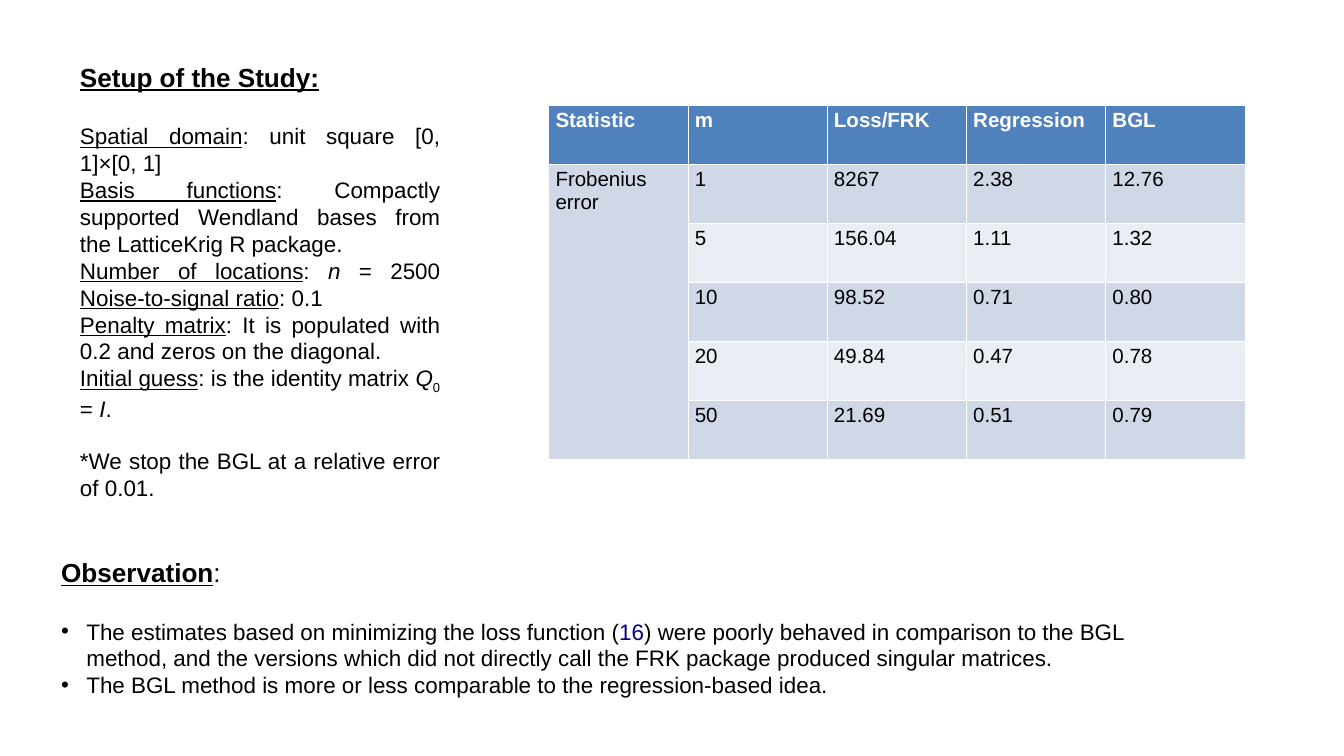
from typing import NamedTuple, Optional

from lxml import etree
from pptx import Presentation
from pptx.dml.color import RGBColor
from pptx.enum.text import MSO_AUTO_SIZE, MSO_VERTICAL_ANCHOR, PP_ALIGN
from pptx.oxml.ns import qn
from pptx.util import Pt

LEFT, JUSTIFY = PP_ALIGN.LEFT, PP_ALIGN.JUSTIFY
TOP = MSO_VERTICAL_ANCHOR.TOP
NO_AUTOFIT = MSO_AUTO_SIZE.NONE

BLACK = RGBColor(0x00, 0x00, 0x00)
WHITE = RGBColor(0xFF, 0xFF, 0xFF)
NAVY = RGBColor(0x00, 0x00, 0x80)
HEADER_BLUE = RGBColor(0x4F, 0x81, 0xBD)
BAND_DARK = RGBColor(0xD0, 0xD8, 0xE8)
BAND_LIGHT = RGBColor(0xE9, 0xED, 0xF4)

FONT = "Arial"
HEADING_SIZE, BODY_SIZE, CELL_SIZE = 28, 24, 22
HANGING = 27


class Span(NamedTuple):
    text: str
    underline: bool = False
    italic: bool = False
    bold: bool = False
    subscript: bool = False
    color: Optional[RGBColor] = None


class Para(NamedTuple):
    spans: list[Span]
    size: float = BODY_SIZE
    bullet: bool = False
    before: float = 0
    after: float = 0


def term(label: str, *rest: Span) -> Para:
    """A line that opens with an underlined label."""
    return Para([Span(label, underline=True), *rest])


def set_bullet(paragraph, bullet: bool) -> None:
    props = paragraph._p.get_or_add_pPr()
    indent = Pt(HANGING) if bullet else 0
    props.set("marL", str(indent))
    props.set("indent", str(-indent))
    if bullet:
        etree.SubElement(props, qn("a:buFont")).set("typeface", FONT)
        etree.SubElement(props, qn("a:buChar")).set("char", "•")
    else:
        etree.SubElement(props, qn("a:buNone"))


def set_font(font, size: float, color: RGBColor) -> None:
    font.name = FONT
    font.size = Pt(size)
    font.color.rgb = color


def add_span(paragraph, span: Span) -> None:
    run = paragraph.add_run()
    run.text = span.text
    if span.underline:
        run.font.underline = True
    if span.italic:
        run.font.italic = True
    if span.bold:
        run.font.bold = True
    if span.subscript:
        run._r.get_or_add_rPr().set("baseline", "-25000")
    if span.color is not None:
        run.font.color.rgb = span.color


def fill_body(body, box: tuple[float, ...], paras: list[Para], align: PP_ALIGN) -> None:
    body.left, body.top, body.width, body.height = map(Pt, box)
    frame = body.text_frame
    frame.word_wrap = True
    frame.auto_size = NO_AUTOFIT
    frame.vertical_anchor = TOP
    for index, para in enumerate(paras):
        paragraph = frame.add_paragraph() if index else frame.paragraphs[0]
        set_bullet(paragraph, para.bullet)
        set_font(paragraph.font, para.size, BLACK)
        paragraph.alignment = align
        paragraph.space_before = Pt(para.before)
        paragraph.space_after = Pt(para.after)
        for span in para.spans:
            add_span(paragraph, span)


def fill_cell(cell, text: str, fill: RGBColor, header: bool) -> None:
    cell.fill.solid()
    cell.fill.fore_color.rgb = fill
    cell.text = text
    paragraph = cell.text_frame.paragraphs[0]
    paragraph.alignment = JUSTIFY if header else LEFT
    set_font(paragraph.font, CELL_SIZE, WHITE if header else BLACK)
    paragraph.font.bold = header


def add_results(slide, box: tuple[float, ...], rows: list[list[str]]) -> None:
    table = slide.shapes.add_table(len(rows), len(rows[0]), *map(Pt, box)).table
    for r, row in enumerate(rows):
        header = r == 0
        fill = HEADER_BLUE if header else (BAND_LIGHT, BAND_DARK)[r % 2]
        for c, text in enumerate(row):
            fill_cell(table.cell(r, c), text, BAND_DARK if r and c == 0 else fill, header)
    # The statistic's name spans all of its rows
    table.cell(1, 0).merge(table.cell(len(rows) - 1, 0))


SETUP = [
    Para([Span("Setup of the Study:", underline=True, bold=True)], HEADING_SIZE, after=32),
    term("Spatial domain", Span(": unit square [0, 1]×[0, 1]")),
    term("Basis functions",
         Span(": Compactly supported Wendland bases from the LatticeKrig R package.")),
    term("Number of locations", Span(": "), Span("n ", italic=True), Span("= 2500 "),
         Span("Noise-to-signal ratio", underline=True), Span(": 0.1")),
    term("Penalty matrix", Span(": It is populated with 0.2 and zeros on the diagonal. ")),
    term("Initial guess", Span(": is the identity matrix "), Span("Q", italic=True),
         Span("0", subscript=True), Span(" = "), Span("I", italic=True), Span(".")),
    Para([Span("*We stop the BGL at a relative error of 0.01.")], before=27.5),
]

OBSERVATION = [
    Para([Span("Observation", underline=True, bold=True), Span(":")], HEADING_SIZE, after=32),
    Para([Span("The estimates based on minimizing the loss function ("),
          Span("16", color=NAVY),
          Span(") were poorly behaved in comparison to the BGL method, and the versions "
               "which did not directly call the FRK package produced singular matrices.")],
         bullet=True),
    Para([Span("The BGL method is more or less comparable to the regression-based idea.")],
         bullet=True),
]

RESULTS = [
    ["Statistic", "m", "Loss/FRK", "Regression", "BGL"],
    ["Frobenius error", "1", "8267", "2.38", "12.76"],
    ["", "5", "156.04", "1.11", "1.32"],
    ["", "10", "98.52", "0.71", "0.80"],
    ["", "20", "49.84", "0.47", "0.78"],
    ["", "50", "21.69", "0.51", "0.79"],
]


def main() -> None:
    deck = Presentation()
    deck.slide_width, deck.slide_height = Pt(1440), Pt(810)
    slide = deck.slides.add_slide(deck.slide_layouts[3])  # Two Content
    title, observation, setup = slide.placeholders

    # The headings belong to the two lists, so the title is not needed
    title.element.getparent().remove(title.element)

    fill_body(observation, (58.3, 592.5, 1222.5, 162.7), OBSERVATION, LEFT)
    fill_body(setup, (78.5, 62, 400.3, 482.4), SETUP, JUSTIFY)
    add_results(slide, (588, 113, 746, 379.5), RESULTS)

    deck.save("out.pptx")


if __name__ == "__main__":
    main()
